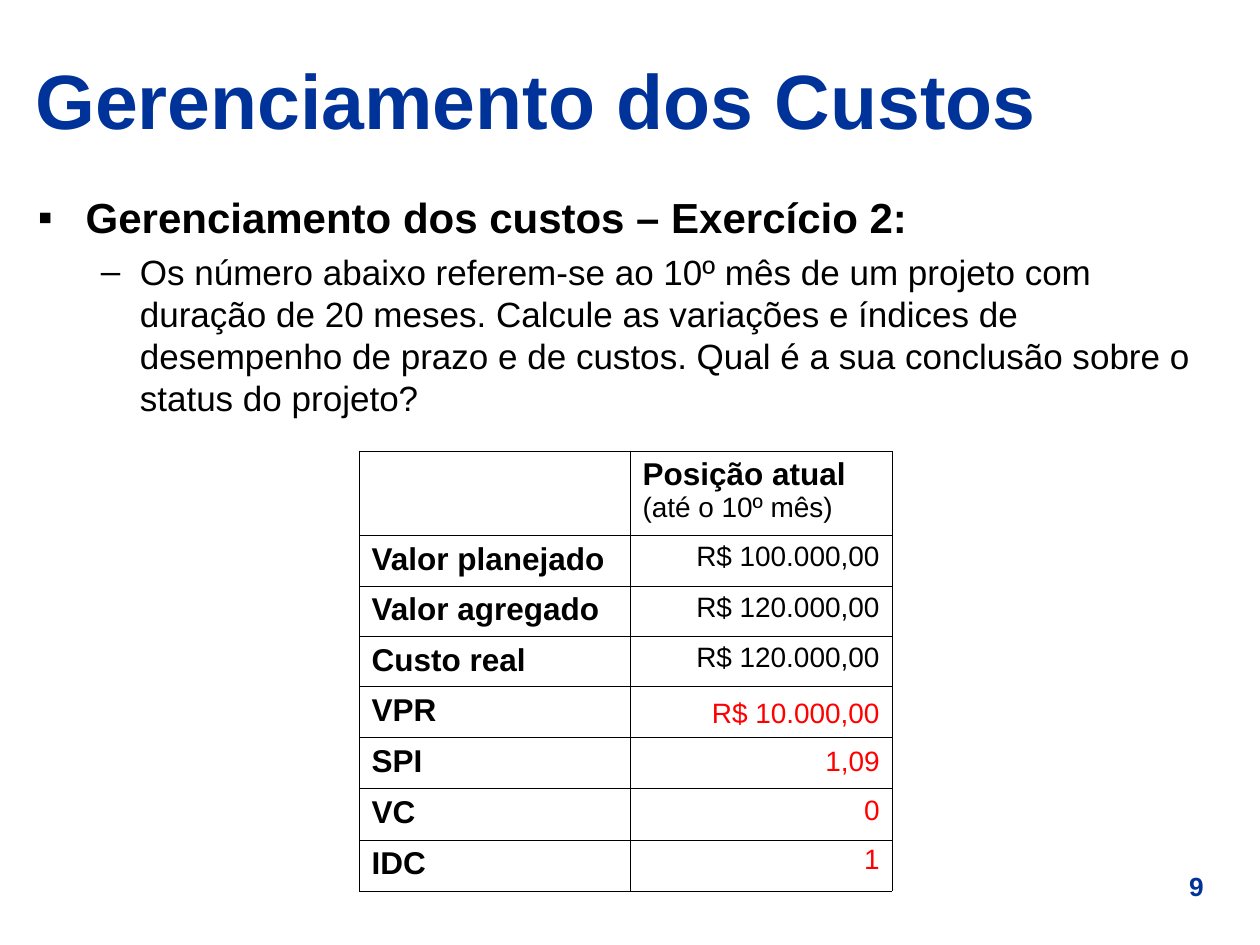
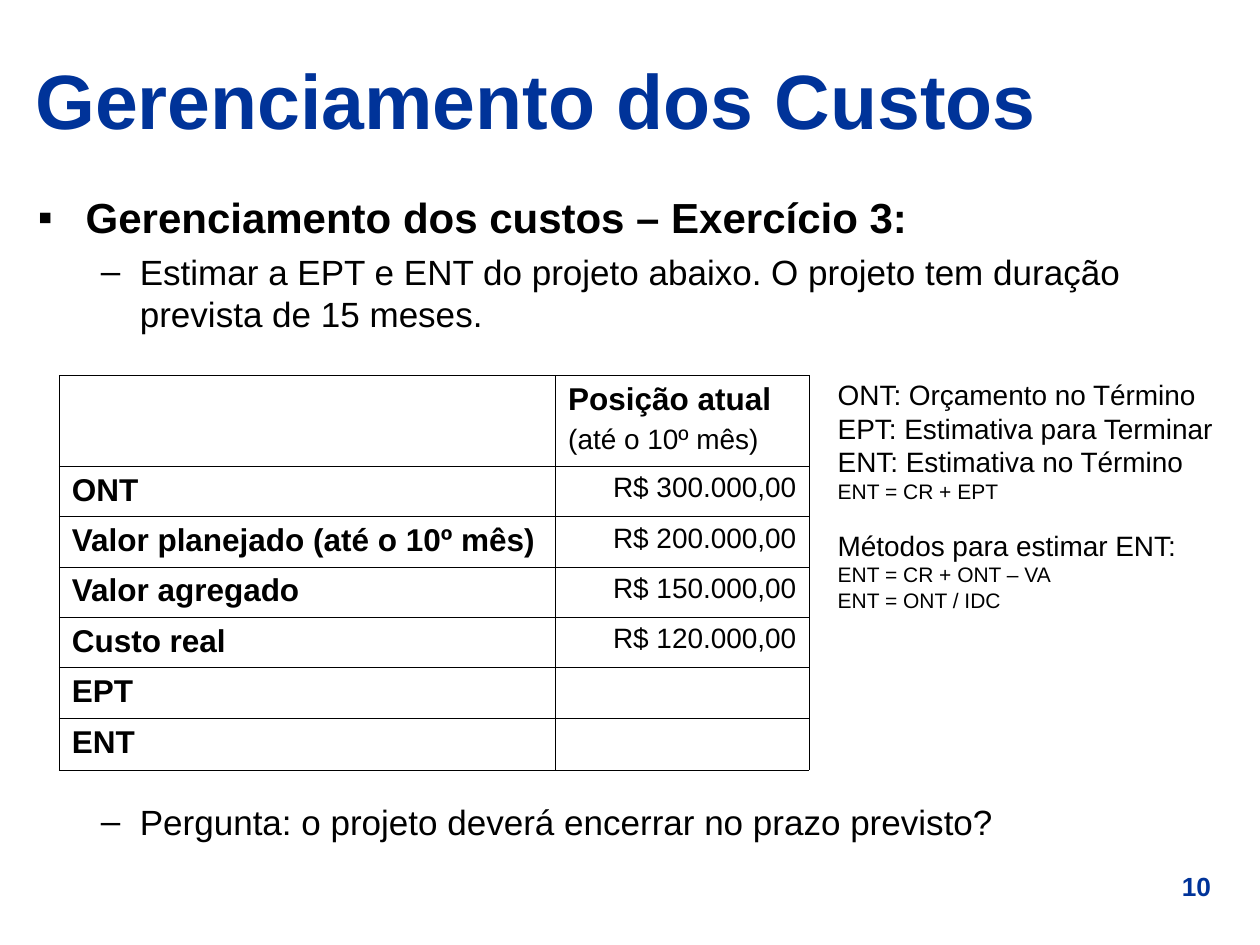
from lxml.etree import SubElement
from pptx import Presentation
from pptx.dml.color import RGBColor
from pptx.enum.text import MSO_ANCHOR, MSO_AUTO_SIZE, PP_ALIGN
from pptx.oxml.ns import qn
from pptx.util import Emu, Pt

COLORS = {"title": "003399", "text": "000000", "answer": "FF0000", "border": "000000"}
LEFT, CENTER, RIGHT = PP_ALIGN.LEFT, PP_ALIGN.CENTER, PP_ALIGN.RIGHT
HEADING = {"size": Pt(24), "bold": True}
BODY = {"size": Pt(20), "bold": False}
LABEL = {"size": Pt(18), "bold": True}
VALUE = {"size": Pt(16), "bold": False}
FORMULA = {"size": Pt(12), "bold": False}
TITLE = {"size": Pt(44), "bold": True}
NUMBER = {"size": Pt(15), "bold": True}
BULLETS = {"▪": (38, -38), "–": (81, -31)}


def px(*lengths):
    return [Emu(length * 9144) for length in lengths]


def write(frame, paragraphs, color="text"):
    for index, (runs, layout) in enumerate(paragraphs):
        paragraph = frame.add_paragraph() if index else frame.paragraphs[0]
        for attribute, value in ({"alignment": LEFT} | layout).items():
            setattr(paragraph, attribute, value)
        for text, style in runs:
            run = paragraph.add_run()
            run.text = text
            for attribute, value in ({"name": "Arial"} | style).items():
                setattr(run.font, attribute, value)
            run.font.color.rgb = RGBColor.from_string(COLORS[color])


exercises = [
    {
        "number": "9",
        "heading": "Gerenciamento dos custos – Exercício 2:",
        "items": [
            ("Os número abaixo referem-se ao 10º mês de um projeto com duração de 20 meses. "
             "Calcule as variações e índices de desempenho de prazo e de custos. "
             "Qual é a sua conclusão sobre o status do projeto?", 5),
        ],
        "position": (285, 358),
        "columns": (215, 208),
        "header_height": 67,
        "header": [([("Posição atual", LABEL), (" (até o 10º mês)", VALUE)], {"space_before": Pt(4)})],
        "rows": [
            ("Valor planejado", "R$ 100.000,00"),
            ("Valor agregado", "R$ 120.000,00"),
            ("Custo real", "R$ 120.000,00"),
            ("VPR", ""),
            ("SPI", ""),
            ("VC", ""),
            ("IDC", ""),
        ],
        "side_box": (555, 535, 153, 203),
        "side_wrap": False,
        "side_color": "answer",
        "side_lines": [([(answer, VALUE)], {"alignment": RIGHT, "line_spacing": 1.45})
                       for answer in ("R$ 10.000,00", "1,09", "0", "1")],
    },
    {
        "number": "10",
        "heading": "Gerenciamento dos custos – Exercício 3:",
        "items": [
            ("Estimar a EPT e ENT do projeto abaixo. O projeto tem duração prevista de 15 meses.", 5),
            ("Pergunta: o projeto deverá encerrar no prazo previsto?", 266),
        ],
        "position": (47, 298),
        "columns": (394, 201),
        "header_height": 72,
        "header": [
            ([("Posição atual", LABEL)], {"space_before": Pt(4.5)}),
            ([("(até o 10º mês)", VALUE)], {"space_before": Pt(4)}),
        ],
        "rows": [
            ("ONT", "R$ 300.000,00"),
            ("Valor planejado (até o 10º mês)", "R$ 200.000,00"),
            ("Valor agregado", "R$ 150.000,00"),
            ("Custo real", "R$ 120.000,00"),
            ("EPT", ""),
            ("ENT", ""),
        ],
        "side_box": (655, 295, 335, 197),
        "side_wrap": True,
        "side_color": "text",
        "side_lines": [([(text, style)], {"space_before": Pt(gap)}) for text, style, gap in (
            ("ONT: Orçamento no Término", VALUE, 0),
            ("EPT: Estimativa para Terminar", VALUE, 0),
            ("ENT: Estimativa no Término", VALUE, 0),
            ("ENT = CR + EPT", FORMULA, 0),
            ("Métodos para estimar ENT:", VALUE, 14),
            ("ENT = CR + ONT – VA", FORMULA, 0),
            ("ENT = ONT / IDC", FORMULA, 0),
        )],
    },
]

deck = Presentation()
deck.slide_width, deck.slide_height = px(1000, 750)

for exercise in exercises:
    slide = deck.slides.add_slide(deck.slide_layouts[1])
    title, body = slide.placeholders
    for holder, box, anchor in (
        (title, (18, 28, 962, 101), MSO_ANCHOR.MIDDLE),
        (body, (20, 147, 961, 559), MSO_ANCHOR.TOP),
    ):
        holder.left, holder.top, holder.width, holder.height = px(*box)
        holder.text_frame.auto_size = MSO_AUTO_SIZE.NONE
        holder.text_frame.vertical_anchor = anchor
    write(title.text_frame, [([("Gerenciamento dos Custos", TITLE)], {})], "title")

    outline = [([(exercise["heading"], HEADING)], {"space_before": Pt(6)})]
    outline += [([(text, BODY)], {"level": 1, "space_before": Pt(gap)}) for text, gap in exercise["items"]]
    write(body.text_frame, outline)
    for paragraph in body.text_frame.paragraphs:
        mark = "–" if paragraph.level else "▪"
        properties = paragraph._p.get_or_add_pPr()
        for name, length in zip(("marL", "indent"), px(*BULLETS[mark])):
            properties.set(name, str(length))
        bullet_color = SubElement(properties, qn("a:buClr"))
        SubElement(bullet_color, qn("a:srgbClr"), val=COLORS["text"])
        SubElement(properties, qn("a:buFont"), typeface="Arial")
        SubElement(properties, qn("a:buChar"), char=mark)

    rows = exercise["rows"]
    heights = [exercise["header_height"]] + [40] * len(rows)
    size = (sum(exercise["columns"]), sum(heights))
    costs = slide.shapes.add_table(len(heights), 2, *px(*exercise["position"], *size)).table
    costs.first_row = costs.horz_banding = False
    for column, width in zip(costs.columns, px(*exercise["columns"])):
        column.width = width
    for row, height in zip(costs.rows, px(*heights)):
        row.height = height
    write(costs.cell(0, 1).text_frame, exercise["header"])
    for index, (label, value) in enumerate(rows, 1):
        write(costs.cell(index, 0).text_frame, [([(label, LABEL)], {"space_before": Pt(4.5)})])
        if value:
            write(costs.cell(index, 1).text_frame,
                  [([(value, VALUE)], {"alignment": RIGHT, "space_before": Pt(4)})])
    for cell in costs.iter_cells():
        properties = cell._tc.get_or_add_tcPr()
        for side in ("a:lnL", "a:lnR", "a:lnT", "a:lnB"):
            border = SubElement(properties, qn(side), w=str(Pt(0.45)))
            border_fill = SubElement(border, qn("a:solidFill"))
            SubElement(border_fill, qn("a:srgbClr"), val=COLORS["border"])
        cell.fill.background()

    page_line = [([(exercise["number"], NUMBER)], {"alignment": CENTER, "space_before": Pt(9.4)})]
    for box, wrap, lines, color in (
        (exercise["side_box"], exercise["side_wrap"], exercise["side_lines"], exercise["side_color"]),
        ((910, 686, 79, 35), True, page_line, "title"),
    ):
        frame = slide.shapes.add_textbox(*px(*box)).text_frame
        frame.word_wrap = wrap
        write(frame, lines, color)

deck.save("out.pptx")
